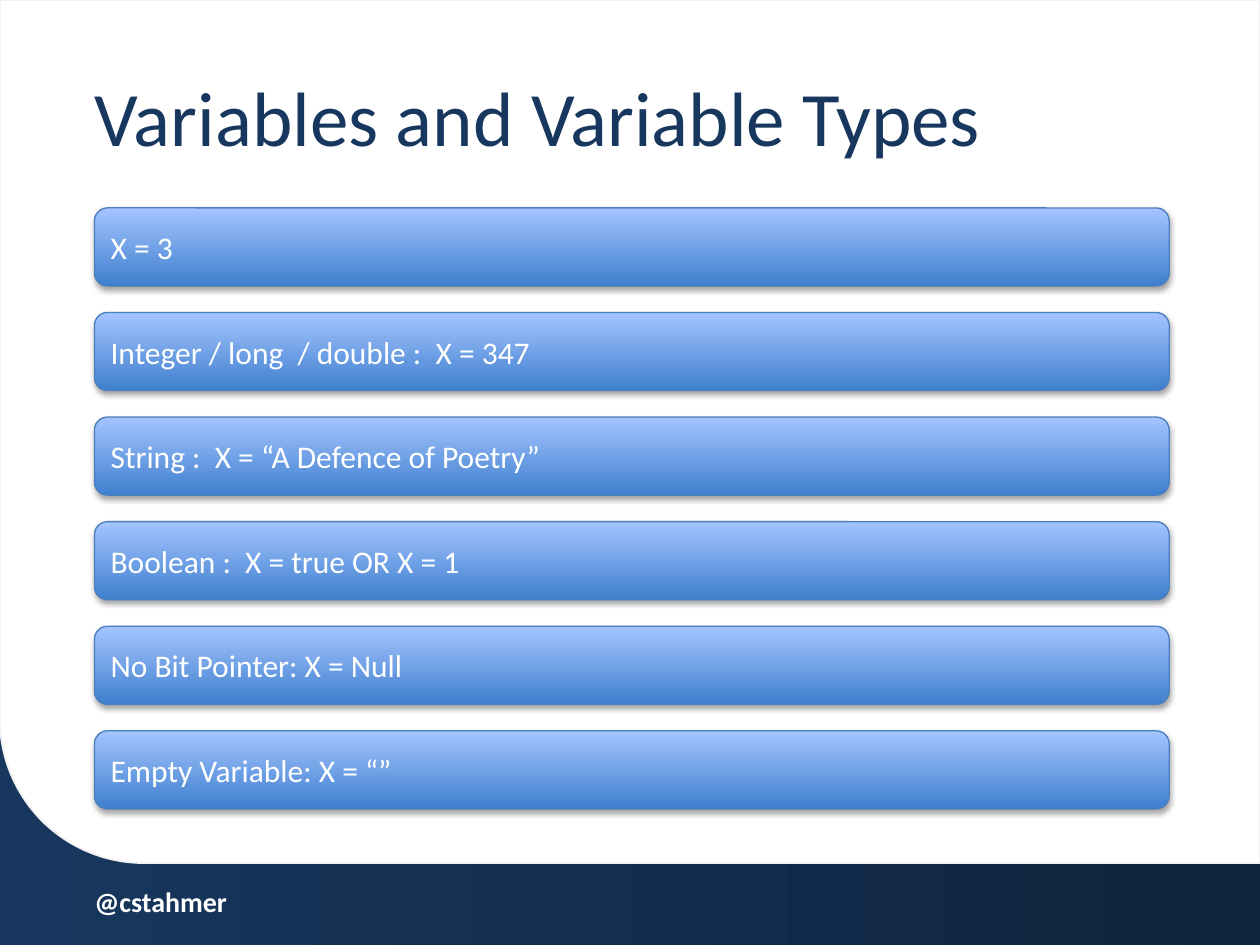
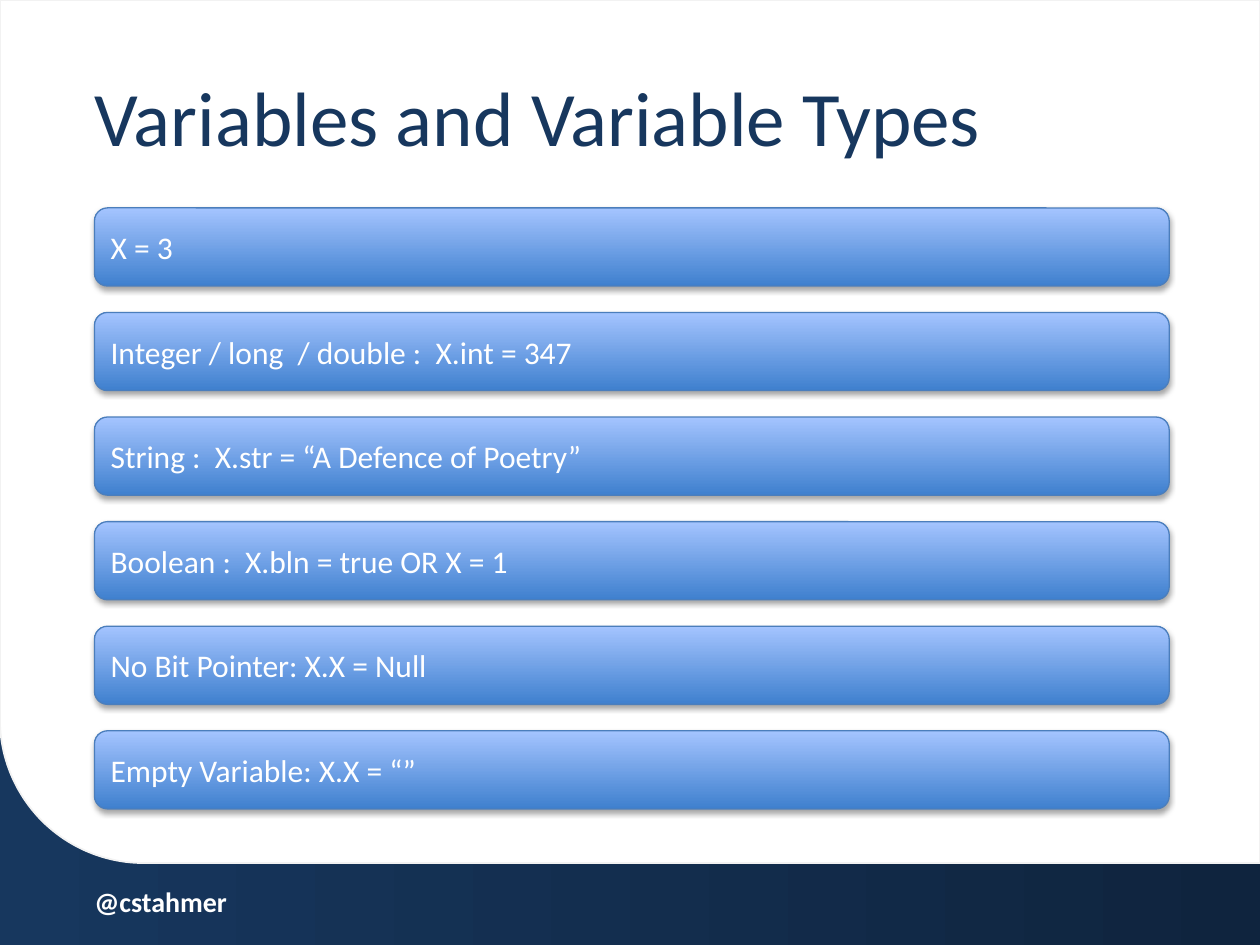
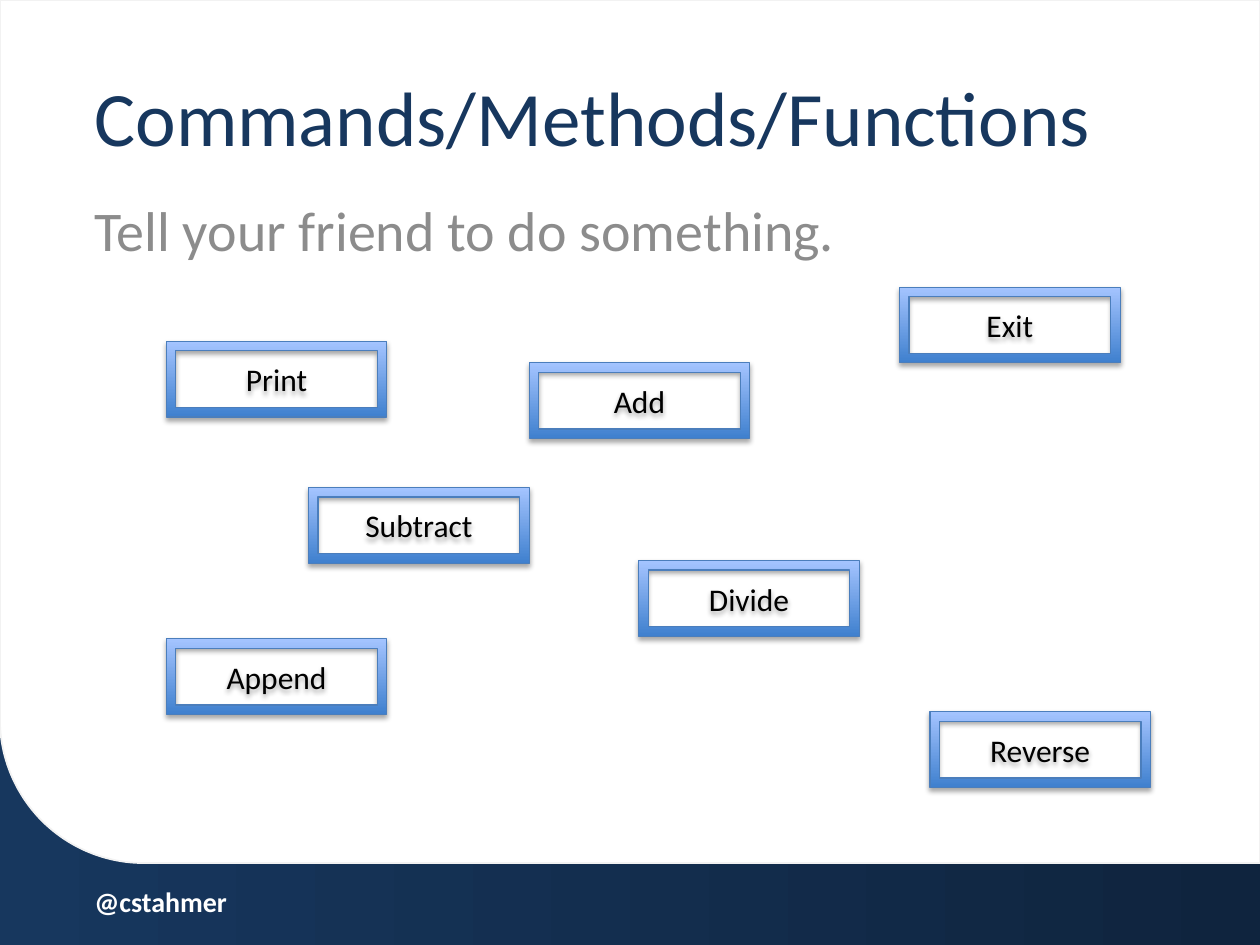
from lxml.etree import SubElement
from pptx import Presentation
from pptx.dml.color import RGBColor
from pptx.enum.shapes import MSO_SHAPE as SHAPE
from pptx.enum.text import MSO_ANCHOR as ANCHOR, MSO_AUTO_SIZE as AUTO_SIZE, PP_ALIGN as ALIGN
from pptx.oxml.ns import qn
from pptx.util import Inches, Pt

FONT = "Calibri"
NAVY = RGBColor(0x17, 0x37, 0x5E)
MIDNIGHT = RGBColor(0x0F, 0x24, 0x3E)
BLUE = RGBColor(0x3F, 0x80, 0xCE)
SKY = RGBColor(0xA4, 0xC4, 0xFF)
EDGE = RGBColor(0x4B, 0x7E, 0xBC)
WHITE = RGBColor(0xFF, 0xFF, 0xFF)
PALE = RGBColor(0xF2, 0xF2, 0xF2)
GREY = RGBColor(0x8C, 0x8C, 0x8C)
BLACK = RGBColor(0, 0, 0)

LEFT, WIDTH = 0.75, 8.53
ROW_TOP, ROW_STEP, ROW_HEIGHT = 1.65, 0.83, 0.62
FRAME_SIZE = (1.75, 0.6)
HANDLE = "@cstahmer"

VARIABLE_SLIDES = [
    ("Variables and Variable Types", [
        "X = 3",
        "Integer / long  / double :  X = 347",
        "String :  X = “A Defence of Poetry”",
        "Boolean :  X = true OR X = 1",
        "No Bit Pointer: X = Null",
        "Empty Variable: X = “”",
    ]),
    ("Variables and Variable Types", [
        "X = 3",
        "Integer / long  / double :  X.int = 347",
        "String :  X.str = “A Defence of Poetry”",
        "Boolean :  X.bln = true OR X = 1",
        "No Bit Pointer: X.X = Null",
        "Empty Variable: X.X = “”",
    ]),
]
COMMANDS_TITLE = "Commands/Methods/Functions"
COMMANDS_SUBTITLE = "Tell your friend to do something."
COMMANDS = [
    ("Print", 1.32, 2.71),
    ("Add", 4.2, 2.88),
    ("Subtract", 2.45, 3.87),
    ("Append", 1.32, 5.07),
    ("Divide", 5.07, 4.45),
    ("Exit", 7.14, 2.28),
    ("Reverse", 7.38, 5.65),
]


def set_gradient(fill, start, end, angle):
    fill.gradient()
    fill.gradient_angle = angle
    for stop, color in zip(fill.gradient_stops, (start, end)):
        stop.color.rgb = color


def write(s, text, size, color, align=ALIGN.LEFT, bold=False):
    p = s.text_frame.paragraphs[0]
    p.alignment = align
    r = p.add_run()
    r.text = text
    r.font.name = FONT
    r.font.size = Pt(size)
    r.font.bold = bold
    r.font.color.rgb = color


def write_flush(s, box, *style, **options):
    s.left, s.top, s.width, s.height = map(Inches, box)
    tf = s.text_frame
    tf.margin_left = tf.margin_right = tf.margin_top = tf.margin_bottom = 0
    tf.word_wrap = True
    tf.auto_size = AUTO_SIZE.NONE
    tf.vertical_anchor = ANCHOR.TOP
    write(s, *style, **options)


def add_shadow(s):
    s.shadow.inherit = False
    effects = s._element.spPr.find(qn("a:effectLst"))
    shadow = SubElement(effects, qn("a:outerShdw"), blurRad=str(Pt(3.1)),
                        dist=str(Pt(1.8)), dir="5400000", rotWithShape="0")
    color = SubElement(shadow, qn("a:srgbClr"), val=str(BLACK))
    SubElement(color, qn("a:alpha"), val="35000")


def add_blue_shape(slide, kind, box, text, color, align):
    s = slide.shapes.add_shape(kind, *map(Inches, box))
    set_gradient(s.fill, BLUE, SKY, 90)
    s.line.color.rgb = EDGE
    s.line.width = Pt(0.75)
    add_shadow(s)
    s.text_frame.vertical_anchor = ANCHOR.MIDDLE
    write(s, text, 18, color, align)


def add_panel(slide):
    s = slide.shapes.add_shape(SHAPE.ROUND_1_RECTANGLE, 0, 0, Inches(10), Inches(6.85))
    s.shadow.inherit = False
    s.fill.solid()
    s.fill.fore_color.rgb = WHITE
    s.line.color.rgb = PALE
    s.line.width = Pt(1)
    xfrm = s._element.spPr.find(qn("a:xfrm"))
    xfrm.set("flipH", "1")
    xfrm.set("flipV", "1")
    slide.shapes._spTree.insert(2, s._element)


def add_slide(prs, title, subtitle=None, title_width=WIDTH):
    slide = prs.slides.add_slide(prs.slide_layouts[0])
    add_panel(slide)
    write_flush(slide.shapes.title, (LEFT, 0.55, title_width, 0.91), title, 44, NAVY)
    sp = slide.placeholders[1]
    if subtitle:
        write_flush(sp, (LEFT, 1.55, WIDTH, 0.51), subtitle, 32, GREY)
    else:
        slide.shapes._spTree.remove(sp._element)
    footer = slide.shapes.add_textbox(0, 0, 0, 0)
    write_flush(footer, (LEFT, 7.02, 1.07, 0.35), HANDLE, 16, WHITE, bold=True)
    return slide


def main():
    prs = Presentation()
    prs.slide_width, prs.slide_height = Inches(10), Inches(7.5)
    set_gradient(prs.slide_master.background.fill, NAVY, MIDNIGHT, 0)

    for title, rows in VARIABLE_SLIDES:
        slide = add_slide(prs, title)
        for i, text in enumerate(rows):
            box = (LEFT, ROW_TOP + i * ROW_STEP, WIDTH, ROW_HEIGHT)
            add_blue_shape(slide, SHAPE.ROUNDED_RECTANGLE, box, text, WHITE, ALIGN.LEFT)

    slide = add_slide(prs, COMMANDS_TITLE, COMMANDS_SUBTITLE, title_width=8.75)
    for text, left, top in COMMANDS:
        add_blue_shape(slide, SHAPE.FRAME, (left, top, *FRAME_SIZE), text, BLACK, ALIGN.CENTER)

    prs.save("out.pptx")


if __name__ == "__main__":
    main()
